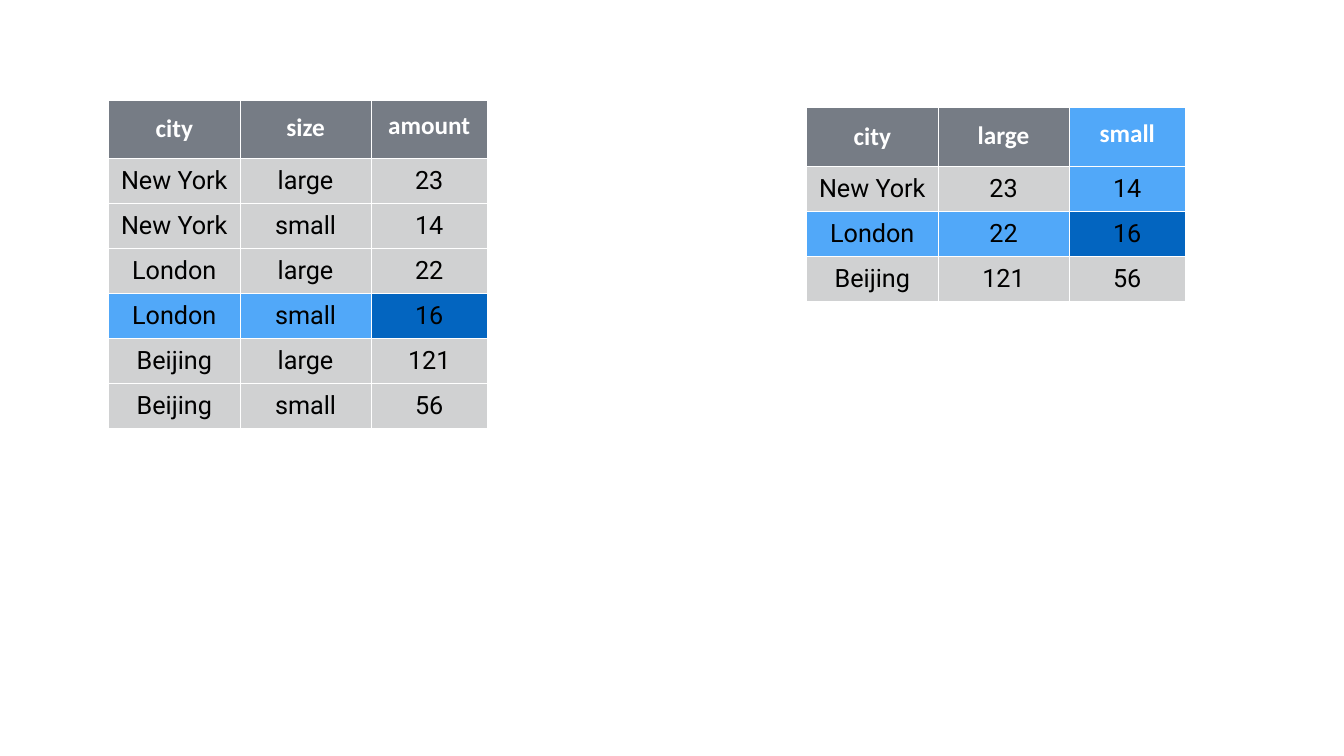
"""Build a slide that shows a long table beside its pivoted form."""
from lxml.etree import SubElement
from pptx import Presentation
from pptx.dml.color import RGBColor
from pptx.enum.text import MSO_ANCHOR as Anchor, PP_ALIGN as Align
from pptx.oxml.ns import qn
from pptx.util import Cm, Pt

WHITE, BLACK = "FFFFFF", "000000"
HEADER, BODY, MATCH, RESULT = "767C85", "D0D1D2", "51A8F9", "0365C0"
COLUMN_WIDTHS = (6.65, 6.58, 5.89)
HEADER_SPACING = (1.0, 0.8, 0.6)
HEADER_HEIGHT, ROW_HEIGHT = 2.95, 2.27
MARGIN = 0.15

TABLES = [
    {
        "left": 5.46, "top": 5.03,
        "rows": [
            ("city", "size", "amount"),
            ("New York", "large", "23"),
            ("New York", "small", "14"),
            ("London", "large", "22"),
            ("London", "small", "16"),
            ("Beijing", "large", "121"),
            ("Beijing", "small", "56"),
        ],
        "result": (4, 2), "match_column": False,
    },
    {
        "left": 40.64, "top": 5.43,
        "rows": [
            ("city", "large", "small"),
            ("New York", "23", "14"),
            ("London", "22", "16"),
            ("Beijing", "121", "56"),
        ],
        "result": (2, 2), "match_column": True,
    },
]


def rgb(value):
    return RGBColor.from_string(value)


def cell_fill(data, row, column):
    result_row, result_column = data["result"]
    if (row, column) == data["result"]:
        return RESULT
    above_result = column == result_column and row < result_row
    if row == result_row or (data["match_column"] and above_result):
        return MATCH
    return BODY if row else HEADER


def add_borders(cell):
    tc_pr = cell._tc.get_or_add_tcPr()
    for side in ("a:lnL", "a:lnR", "a:lnT", "a:lnB"):
        line = SubElement(tc_pr, qn(side), w=str(Pt(1)))
        fill = SubElement(line, qn("a:solidFill"))
        SubElement(fill, qn("a:srgbClr"), val=WHITE)


def format_cell(cell, text, fill, header, spacing):
    add_borders(cell)
    cell.fill.solid()
    cell.fill.fore_color.rgb = rgb(fill)
    cell.vertical_anchor = Anchor.MIDDLE
    cell.margin_left = cell.margin_right = Cm(MARGIN)
    cell.margin_top = cell.margin_bottom = Cm(MARGIN)
    p = cell.text_frame.paragraphs[0]
    p.alignment = Align.CENTER
    p.line_spacing = spacing
    r = p.add_run()
    r.text = text
    r.font.size = Pt(36)
    r.font.bold = header
    r.font.name = "Calibri" if header else "Roboto"
    r.font.color.rgb = rgb(WHITE if header else BLACK)


def add_data_table(s, data):
    rows = data["rows"]
    heights = [HEADER_HEIGHT] + [ROW_HEIGHT] * (len(rows) - 1)
    table = s.shapes.add_table(
        len(rows), len(COLUMN_WIDTHS), Cm(data["left"]), Cm(data["top"]),
        Cm(sum(COLUMN_WIDTHS)), Cm(sum(heights))).table
    table.horz_banding = False
    for column, width in zip(table.columns, COLUMN_WIDTHS):
        column.width = Cm(width)
    for i, (values, height) in enumerate(zip(rows, heights)):
        table.rows[i].height = Cm(height)
        for j, text in enumerate(values):
            spacing = 1.0 if i else HEADER_SPACING[j]
            format_cell(table.cell(i, j), text, cell_fill(data, i, j), i == 0, spacing)


def main():
    prs = Presentation()
    prs.slide_width, prs.slide_height = Cm(67.74), Cm(38.1)
    s = prs.slides.add_slide(prs.slide_layouts[6])
    for data in TABLES:
        add_data_table(s, data)
    prs.save("out.pptx")


if __name__ == "__main__":
    main()
